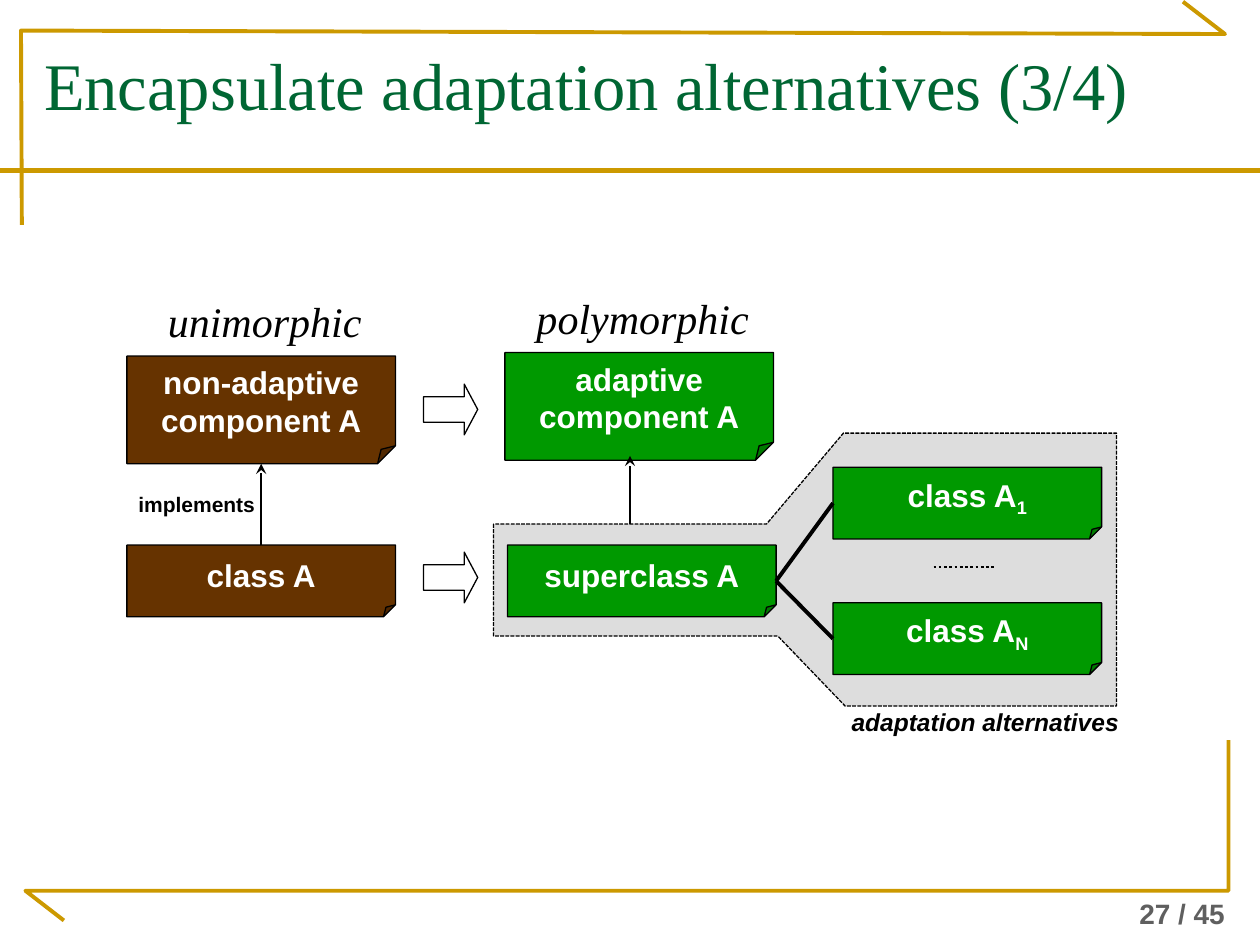
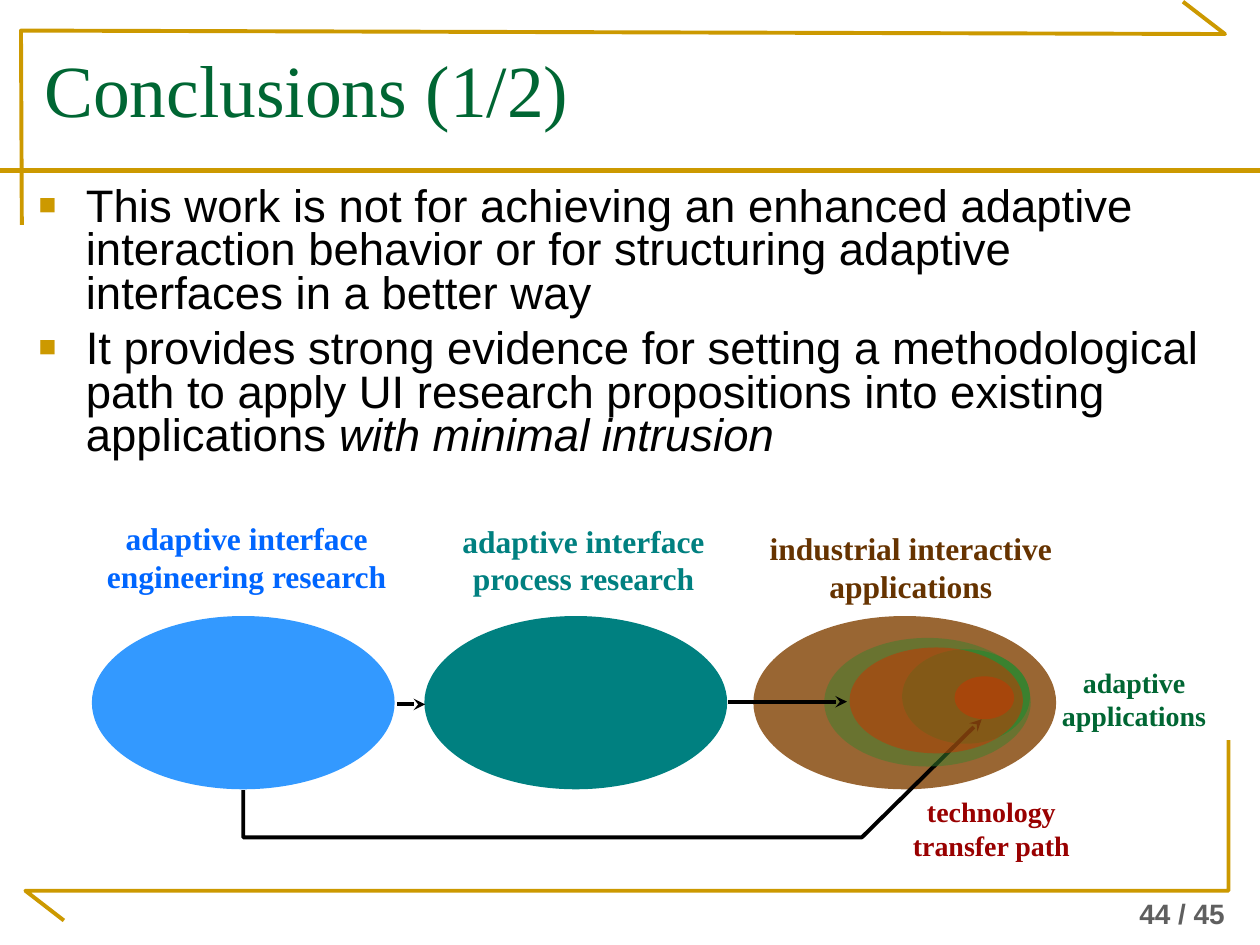
from lxml.etree import SubElement as Sub
from pptx import Presentation
from pptx.dml.color import RGBColor as RGB
from pptx.enum.dml import MSO_LINE as Dash
from pptx.enum.shapes import MSO_CONNECTOR as Conn, MSO_SHAPE as Kind
from pptx.enum.text import MSO_ANCHOR as Anchor, MSO_AUTO_SIZE as Fit, PP_ALIGN as Align
from pptx.oxml.ns import qn
from pptx.util import Pt

GOLD = RGB(0xCC, 0x99, 0x00)
PINE = RGB(0x00, 0x66, 0x33)
GREEN = RGB(0x00, 0x99, 0x00)
LEAF = RGB(0x3B, 0x81, 0x2F)
BROWN = RGB(0x66, 0x33, 0x00)
TAN = RGB(0x99, 0x66, 0x33)
TEAL = RGB(0x00, 0x80, 0x80)
BLUE = RGB(0x00, 0x66, 0xFF)
SKY = RGB(0x33, 0x99, 0xFF)
RUST = RGB(0xCC, 0x33, 0x00)
RED = RGB(0x99, 0x00, 0x00)
PALE = RGB(0xDD, 0xDD, 0xDD)
GRAY = RGB(0x5F, 0x5F, 0x5F)
BLACK = RGB(0, 0, 0)
WHITE = RGB(255, 255, 255)

SANS = "Arial"
SERIF = "Times New Roman"
PAGES = 45


# Text
def write(frame, paras, size=18, font=SANS, color=BLACK, bold=False,
          italic=False, align=Align.LEFT, anchor=Anchor.TOP, wrap=True, pad=None):
    """Each paragraph is a string or a list of (string, mark) runs."""
    frame.auto_size = Fit.NONE
    frame.word_wrap = wrap
    frame.vertical_anchor = anchor
    if pad is not None:
        frame.margin_left = frame.margin_right = Pt(pad)
        frame.margin_top = frame.margin_bottom = Pt(pad)
    for i, runs in enumerate(paras):
        para = frame.paragraphs[0] if i == 0 else frame.add_paragraph()
        para.alignment = align
        for part, mark in [(runs, "")] if isinstance(runs, str) else runs:
            run = para.add_run()
            run.text = part
            face = run.font
            face.size, face.name, face.bold = Pt(size), font, bold
            face.italic = italic or mark == "italic"
            face.color.rgb = color
            if mark == "sub":
                face._element.set("baseline", "-25000")


def label(slide, at, text, **style):
    box = slide.shapes.add_textbox(*map(Pt, at))
    write(box.text_frame, [text], **style)


def bullets(slide, at, paras, **style):
    box = slide.shapes.add_textbox(*map(Pt, at))
    write(box.text_frame, paras, **style)
    for i, para in enumerate(box.text_frame.paragraphs):
        para.line_spacing = 0.8
        para.space_before = Pt(6.5 if i else 0)
        props = para._p.get_or_add_pPr()
        props.set("marL", str(Pt(27)))
        props.set("indent", str(-Pt(27)))
        Sub(Sub(props, qn("a:buClr")), qn("a:srgbClr"), val=str(GOLD))
        Sub(props, qn("a:buSzPct"), val="65000")
        Sub(props, qn("a:buFont"), typeface=SANS)
        Sub(props, qn("a:buChar"), char="■")


# Shapes and lines
def paint(shape, fill=None, line=None, width=0.75):
    shape.shadow.inherit = False
    if fill is None:
        shape.fill.background()
    else:
        shape.fill.solid()
        shape.fill.fore_color.rgb = fill
    if line is None:
        shape.line.fill.background()
    else:
        shape.line.color.rgb = line
        shape.line.width = Pt(width)
    return shape


def head(shape):
    Sub(shape.element.spPr.find(qn("a:ln")), qn("a:tailEnd"), type="stealth")


def figure(slide, kind, at, fill, line=None):
    return paint(slide.shapes.add_shape(kind, *map(Pt, at)), fill, line)


def oval(slide, at, fill, alpha=None):
    shape = figure(slide, Kind.OVAL, at, fill)
    if alpha:
        tone = next(shape.element.spPr.iter(qn("a:srgbClr")))
        Sub(tone, qn("a:alpha"), val=str(alpha * 1000))


def note(slide, left, top, paras, fill, high=41):
    shape = figure(slide, Kind.FOLDED_CORNER, (left, top, 153.5, high), fill, BLACK)
    write(shape.text_frame, paras, color=WHITE, bold=True, align=Align.CENTER,
          anchor=Anchor.MIDDLE, wrap=False)
    return shape


def draw(slide, points, close=False, **style):
    spots = [(Pt(x), Pt(y)) for x, y in points]
    pen = slide.shapes.build_freeform(*spots[0])
    pen.add_line_segments(spots[1:], close=close)
    return paint(pen.convert_to_shape(), **style)


def link(slide, start=(0, 0), end=(0, 0), color=BLACK, width=2.25,
         source=None, target=None, arrow=False):
    """source and target are (shape, side) pairs to join."""
    line = slide.shapes.add_connector(Conn.STRAIGHT, *map(Pt, (*start, *end)))
    if source:
        line.begin_connect(*source)
    if target:
        line.end_connect(*target)
    line.line.color.rgb = color
    line.line.width = Pt(width)
    Sub(line.element.spPr, qn("a:effectLst"))
    if arrow:
        head(line)
    return line


# Shared frame, title and page number
def start(deck, title, size, page):
    slide = deck.slides.add_slide(deck.slide_layouts[5])
    for points in (
        [(12.5, 128.5), (12, 17.5), (700, 19.5), (676, 1)],
        [(36.5, 526), (14.5, 509), (702, 509), (702, 423)],
    ):
        draw(slide, points, line=GOLD, width=2.25)
    link(slide, (0, 97.5), (720, 97.5), color=GOLD, width=3)
    label(slide, (621, 504, 86, 31), f"{page} / {PAGES}", size=16, color=GRAY,
          bold=True, align=Align.RIGHT, anchor=Anchor.BOTTOM)
    box = slide.shapes.title
    box.left, box.top, box.width, box.height = map(Pt, (18, 21.5, 678, 77))
    write(box.text_frame, [title], size=size, font=SERIF, color=PINE)
    return slide


def options(deck):
    slide = start(deck, "Encapsulate adaptation alternatives (3/4)", 38, 27)

    # Backdrop of the alternatives
    back = draw(slide, [(282, 299.5), (282, 363.5), (444.5, 363.5), (483, 403.5),
                        (638, 403.5), (638, 247.5), (482, 247.5), (438, 299.5)],
                close=True, fill=PALE, line=BLACK)
    back.line.dash_style = Dash.SQUARE_DOT

    # Components and classes
    plain = note(slide, 72.5, 203.5, ["non-adaptive", "component A"], BROWN, 61.5)
    note(slide, 288.5, 201.5, ["adaptive", "component A"], GREEN, 61.5)
    base = note(slide, 72.5, 311.5, ["class A"], BROWN)
    parent = note(slide, 290, 311.5, ["superclass A"], GREEN)
    for top, index in ((267, "1"), (344.5, "N")):
        child = note(slide, 476, top, [[("class A", ""), (index, "sub")]], GREEN)
        link(slide, source=(child, 1), target=(parent, 3))

    # Lines and arrows
    link(slide, source=(base, 0), target=(plain, 2), width=1.5, arrow=True)
    link(slide, (360, 299.5), (360, 260.5), width=1.5, arrow=True)
    dots = link(slide, (533.5, 324), (568, 324), width=1.5)
    dots.line.dash_style = Dash.ROUND_DOT
    for top in (219.5, 315.5):
        arrow = figure(slide, Kind.RIGHT_ARROW, (242, top, 31, 29), WHITE, BLACK)
        arrow.adjustments[1] = 0.265

    # Labels
    for left, top, word in ((86.5, 169, "unimorphic"), (302.5, 167, "polymorphic")):
        label(slide, (left, top, 129.5, 29), word, size=24, font=SERIF,
              italic=True, align=Align.CENTER, pad=0)
    label(slide, (72, 277.5, 81, 22), "implements", size=12, bold=True, wrap=False)
    label(slide, (479.5, 400.5, 167, 24), "adaptation alternatives", size=14,
          bold=True, italic=True, wrap=False)


def closing(deck):
    slide = start(deck, "Conclusions (1/2)", 42, 44)
    bullets(slide, (15, 103.5, 684, 182), [
        "This work is not for achieving an enhanced adaptive interaction behavior "
        "or for structuring adaptive interfaces in a better way",
        [("It provides strong evidence for setting a methodological path to apply "
          "UI research propositions into existing applications ", ""),
         ("with minimal intrusion", "italic")],
    ], size=26)

    # Three fields
    for left, fill in ((52.5, SKY), (242.5, TEAL), (430.5, TAN)):
        oval(slide, (left, 352, 173, 99), fill)

    # Adaptive applications and transfer path
    oval(slide, (515.5, 371, 73, 54), LEAF)
    oval(slide, (545.5, 386.5, 34, 24.5), RUST)
    route = draw(slide, [(139, 451.5), (139, 478.5), (492.5, 478.5), (561, 411)],
                 line=BLACK, width=2.25)
    head(route)
    oval(slide, (471, 364.5, 118, 73.5), LEAF, alpha=50)
    oval(slide, (485.5, 370, 99, 60.5), RUST, alpha=50)
    link(slide, (227, 402.5), (243, 402.5), arrow=True)
    link(slide, (416, 401), (484, 401), arrow=True)

    # Labels
    for at, text, size, color in (
        ((49.5, 293, 183, 50), "adaptive interface engineering research", 18, BLUE),
        ((246.5, 294.5, 174, 50), "adaptive interface process research", 18, TEAL),
        ((426, 299, 189, 50), "industrial interactive applications", 18, BROWN),
        ((580.5, 376.5, 135, 46), "adaptive applications", 16, PINE),
        ((503.5, 450.5, 126, 46), "technology transfer path", 16, RED),
    ):
        label(slide, at, text, size=size, font=SERIF, color=color, bold=True,
              align=Align.CENTER)


def main():
    deck = Presentation()
    deck.slide_width, deck.slide_height = Pt(720), Pt(540)
    options(deck)
    closing(deck)
    deck.save("out.pptx")


if __name__ == "__main__":
    main()
